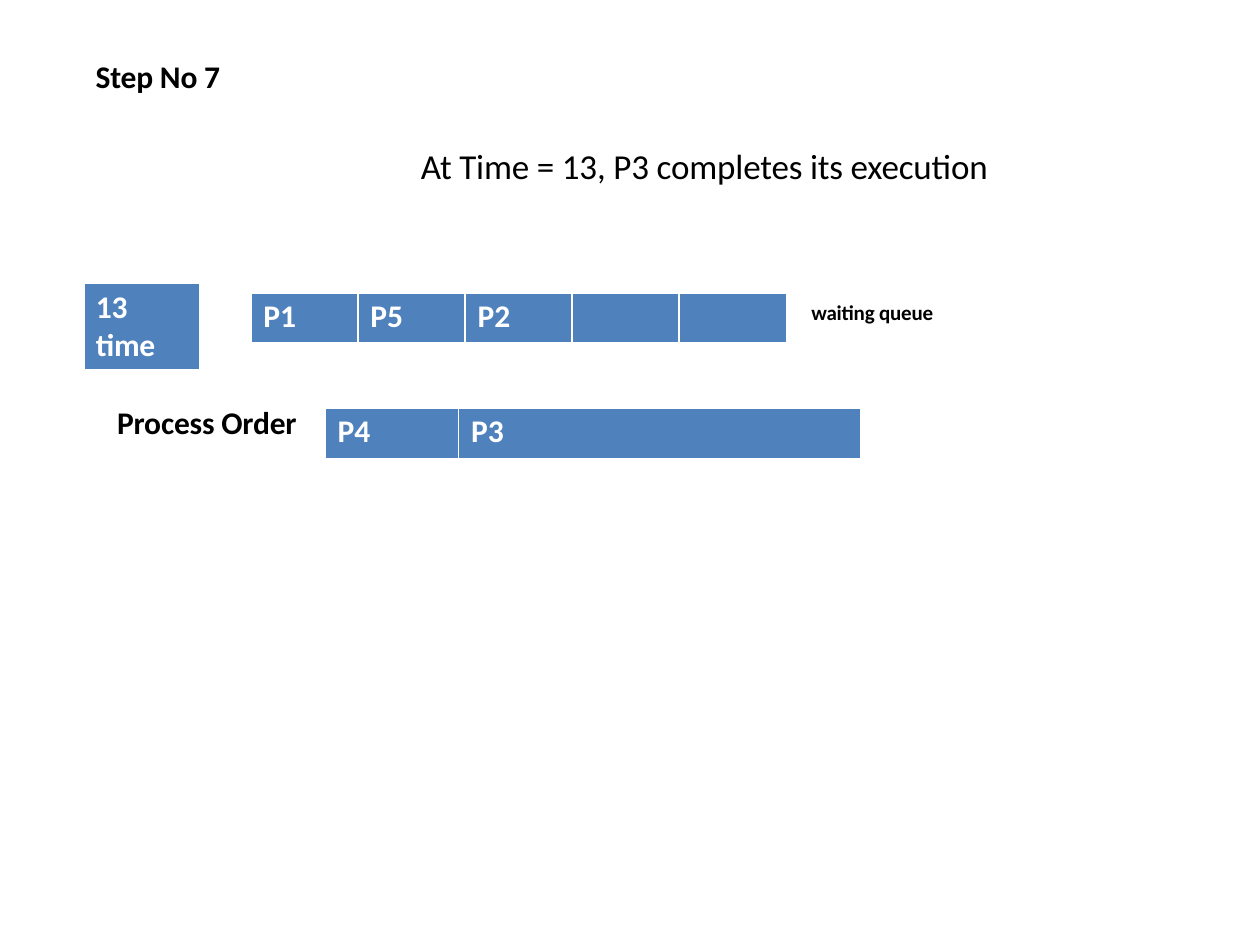
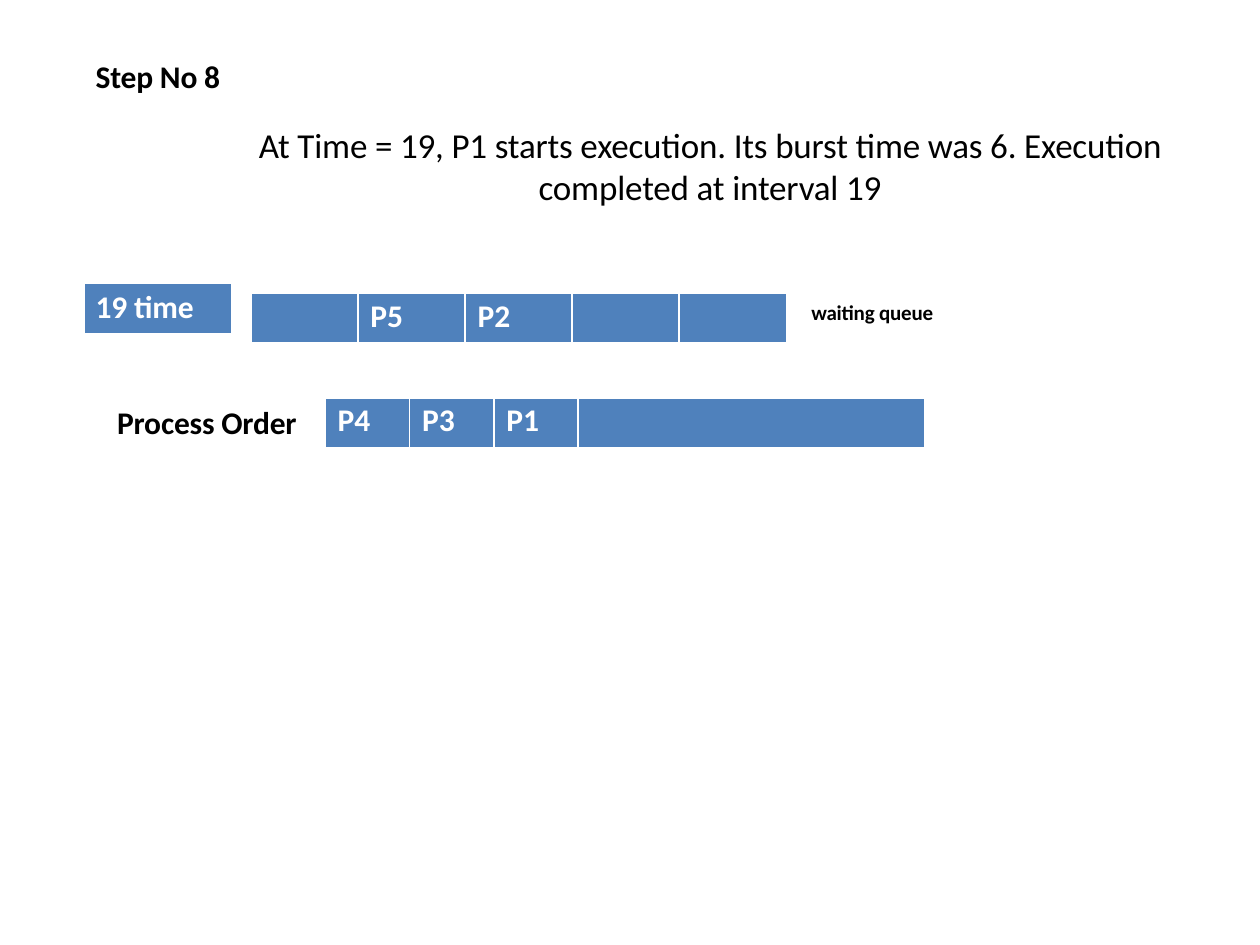
from lxml import etree
from pptx import Presentation
from pptx.dml.color import RGBColor
from pptx.enum.shapes import MSO_CONNECTOR, MSO_SHAPE
from pptx.enum.text import MSO_ANCHOR, PP_ALIGN
from pptx.oxml.ns import qn
from pptx.util import Inches, Pt

RECTANGLE = MSO_SHAPE.RECTANGLE
STRAIGHT = MSO_CONNECTOR.STRAIGHT
TOP = MSO_ANCHOR.TOP
LEFT, CENTER = PP_ALIGN.LEFT, PP_ALIGN.CENTER
BLUE, WHITE, BLACK = "4F81BC", "FFFFFF", "000000"
FONT = "Calibri"
BORDERS = [("a:lnL", 1), ("a:lnR", 1), ("a:lnT", 1), ("a:lnB", 3)]


def color(value):
    return RGBColor.from_string(value)


def write(frame, lines, size, bold=True, ink=BLACK, align=LEFT, indent=0.01,
          top=0.01, before=1, spacing=-10):
    frame.word_wrap = True
    frame.vertical_anchor = TOP
    frame.margin_left, frame.margin_top = Inches(indent), Inches(top)
    frame.margin_right = frame.margin_bottom = 0
    frame.text = "\n".join(lines)
    frame.paragraphs[0].space_before = Pt(before)
    for paragraph in frame.paragraphs:
        paragraph.alignment = align
        paragraph.font.name = FONT
        paragraph.font.size = Pt(size)
        paragraph.font.bold = bold
        paragraph.font.color.rgb = color(ink)
        for run in paragraph.runs:
            run._r.get_or_add_rPr().set("spc", str(spacing))


steps = [
    {
        "number": 7,
        "event": ["At Time = 13, P3 completes its execution"],
        "event_at": (3.33, 1.14, 4.58, 0.36), "event_align": LEFT,
        "clock": ["13", "time"], "clock_size": (0.92, 0.7),
        "queue": ["P1", "P5", "P2", "", ""],
        "order": ["P4", "P3"], "order_top": 3.24, "order_widths": [1.06, 3.19],
    },
    {
        "number": 8,
        "event": ["At Time = 19, P1 starts execution. Its burst time was 6. Execution",
                  "completed at interval 19"],
        "event_at": (1.95, 0.97, 7.36, 0.69), "event_align": CENTER,
        "clock": ["19 time"], "clock_size": (1.17, 0.41),
        "queue": ["", "P5", "P2", "", ""],
        "order": ["P4", "P3", "P1", ""], "order_top": 3.16,
        "order_widths": [0.67] * 3 + [2.75],
    },
]

prs = Presentation()
prs.slide_width, prs.slide_height = Inches(10), Inches(7.5)

for step in steps:
    slide = prs.slides.add_slide(prs.slide_layouts[6])

    texts = [
        ([f"Step No {step['number']}"], (0.75, 0.44, 1.03, 0.33), 18, True, LEFT),
        (step["event"], step["event_at"], 20, False, step["event_align"]),
        (["waiting queue"], (6.43, 2.37, 1.02, 0.23), 12, True, LEFT),
        (["Process Order"], (0.92, 3.19, 1.47, 0.33), 18, True, LEFT),
    ]
    for lines, place, size, bold, align in texts:
        label = slide.shapes.add_textbox(*map(Inches, place))
        write(label.text_frame, lines, size, bold, align=align)

    left, top = 0.67, 2.25
    width, height = step["clock_size"]
    clock = slide.shapes.add_shape(
        RECTANGLE, Inches(left), Inches(top), Inches(width), Inches(height))
    clock.shadow.inherit = False
    clock.fill.solid()
    clock.fill.fore_color.rgb = color(BLUE)
    clock.line.color.rgb = color(WHITE)
    clock.line.width = Pt(1)
    write(clock.text_frame, step["clock"], 18, ink=WHITE, indent=0.09, top=0.03)

    clock_base = slide.shapes.add_connector(
        STRAIGHT, Inches(left), Inches(top + height),
        Inches(left + width), Inches(top + height))
    clock_base.line.color.rgb = color(WHITE)
    clock_base.line.width = Pt(3)
    etree.SubElement(clock_base._element.spPr, qn("a:effectLst"))

    bars = [
        (step["queue"], 1.99, 2.33, [0.85] * 5, 0.4),
        (step["order"], 2.58, step["order_top"], step["order_widths"], 0.41),
    ]
    for processes, left, top, widths, height in bars:
        bar = slide.shapes.add_table(
            1, len(widths), Inches(left), Inches(top),
            Inches(sum(widths)), Inches(height)).table
        for column, width in zip(bar.columns, widths):
            column.width = Inches(width)
        for cell, process in zip(bar.iter_cells(), processes):
            cell.margin_left = cell.margin_right = cell.margin_bottom = 0
            cell.margin_top = Inches(0.03)
            properties = cell._tc.get_or_add_tcPr()
            for tag, points in BORDERS:
                border = etree.SubElement(properties, qn(tag), w=str(Pt(points)))
                paint = etree.SubElement(border, qn("a:solidFill"))
                etree.SubElement(paint, qn("a:srgbClr"), val=WHITE)
            cell.fill.solid()
            cell.fill.fore_color.rgb = color(BLUE)
            cell.text = process
            name = cell.text_frame.paragraphs[0]
            name.space_before = Pt(2.5)
            name.font.name = FONT
            name.font.size = Pt(18)
            name.font.bold = True
            name.font.color.rgb = color(WHITE)
            cell.margin_left = Inches(0.1)

prs.save("out.pptx")
